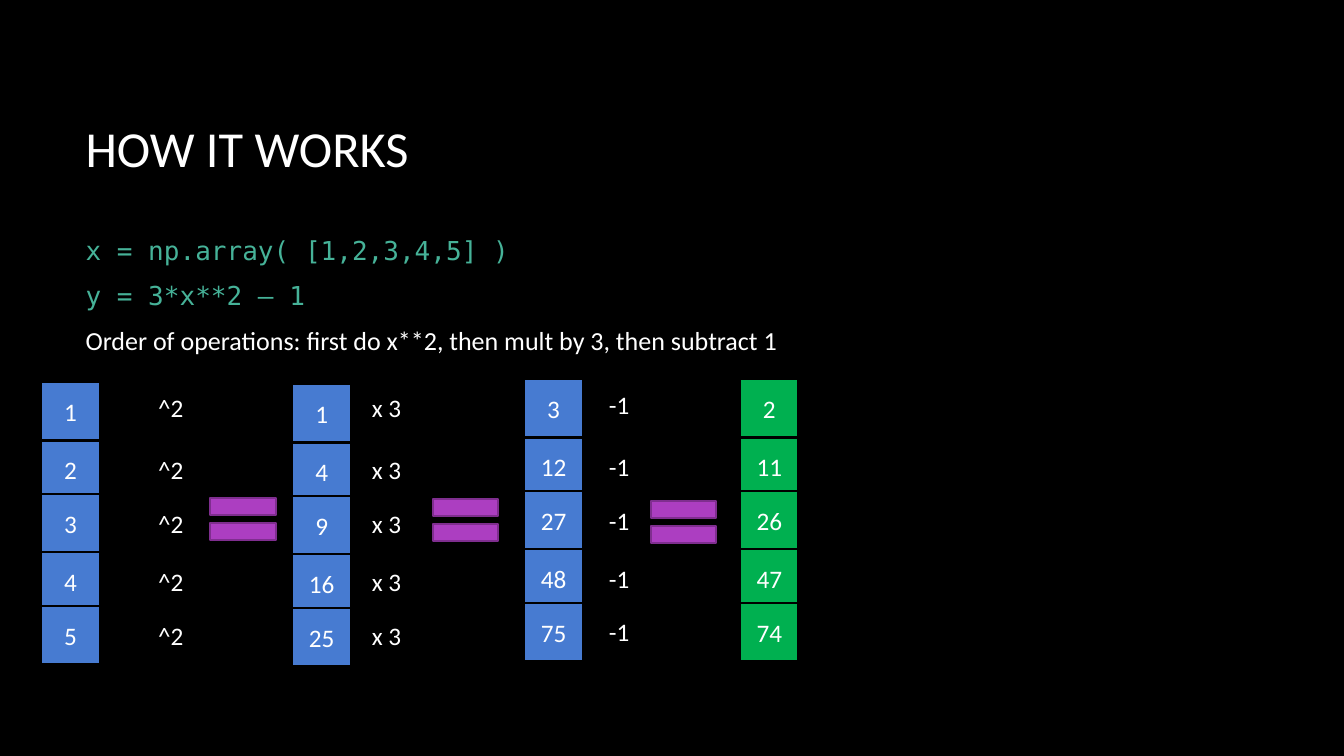
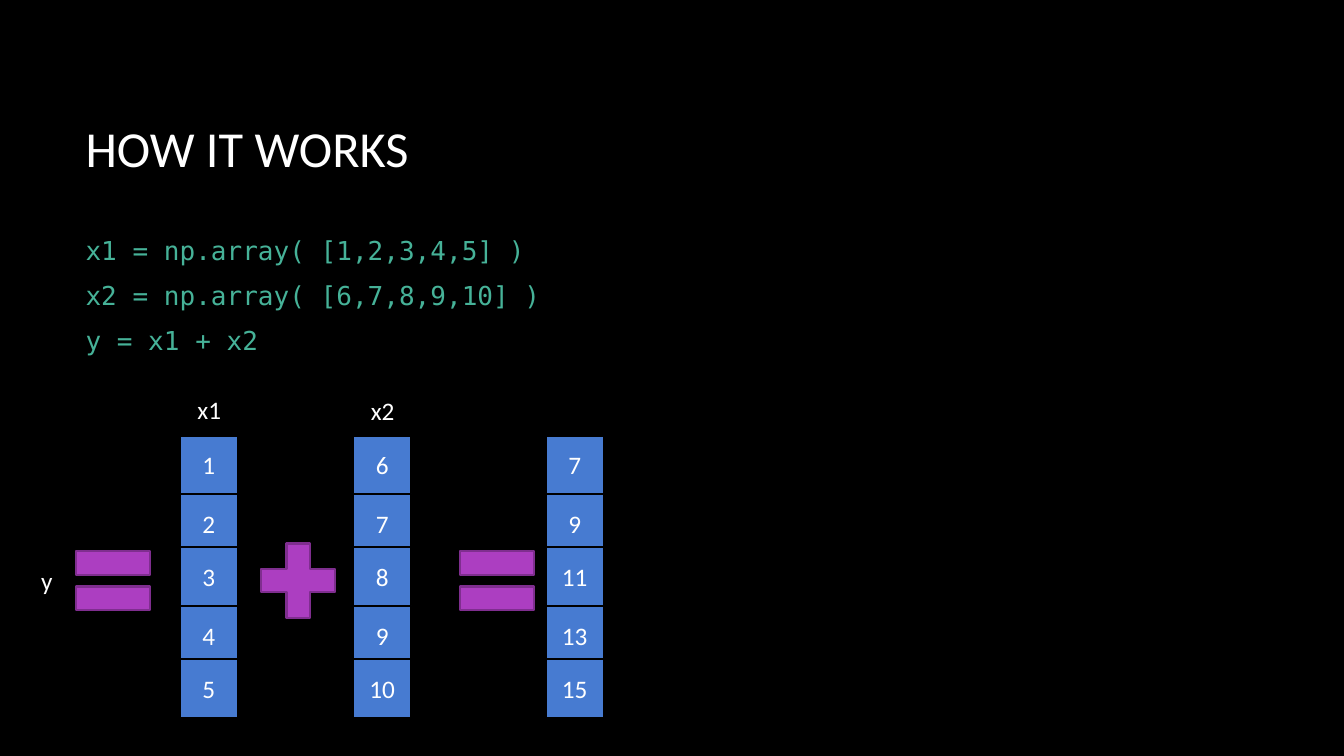
from pptx import Presentation
from pptx import util as u
from pptx.dml.color import RGBColor
from pptx.enum import shapes, text

BLACK = RGBColor(0x00, 0x00, 0x00)
WHITE = RGBColor(0xFF, 0xFF, 0xFF)
TEAL = RGBColor(0x46, 0xB2, 0x98)
BLUE = RGBColor(0x47, 0x7B, 0xD1)
GREEN = RGBColor(0x00, 0xB0, 0x50)
PURPLE = RGBColor(0xAC, 0x3E, 0xC1)
PLUM = RGBColor(0x7F, 0x2E, 0x8F)

TITLE = {"name": "Calibri", "size": u.Pt(36), "color": WHITE}
CODE = {"name": "DejaVu Sans Mono", "size": u.Pt(18.6), "color": TEAL}
PROSE = {"name": "Calibri", "size": u.Pt(18.6), "color": WHITE}
LABEL = {"name": "Calibri", "size": u.Pt(18), "color": WHITE}

MIDDLE = text.MSO_ANCHOR.MIDDLE
CENTER = text.PP_ALIGN.CENTER
EQUAL = shapes.MSO_SHAPE.MATH_EQUAL
PLUS = shapes.MSO_SHAPE.MATH_PLUS

CELL = 0.58
CELL_STEPS = (0, 0.58, 1.11, 1.69, 2.22)
LABEL_STEPS = (0, 0.62, 1.15, 1.73, 2.26)


def set_all(item, values):
    for key, value in values.items():
        if key == "color":
            item.color.rgb = value
        else:
            setattr(item, key, value)


def write(frame, lines, **layout):
    """Fill a text frame with (words, font) lines; layout applies to each paragraph."""
    for index, (words, font) in enumerate(lines):
        para = frame.paragraphs[0] if index == 0 else frame.add_paragraph()
        set_all(para, layout)
        run = para.add_run()
        run.text = words
        set_all(run.font, font)


def add_text(slide, box, lines, frame=None, **layout):
    shape = slide.shapes.add_textbox(*map(u.Inches, box))
    set_all(shape.text_frame, frame or {"word_wrap": False})
    write(shape.text_frame, lines, **layout)


def add_block(slide, kind, box, fill, edge):
    shape = slide.shapes.add_shape(kind, *map(u.Inches, box))
    shape.shadow.inherit = False
    shape.fill.solid()
    shape.fill.fore_color.rgb = fill
    set_all(shape.line, {"color": edge, "width": u.Pt(1.5)})
    return shape


def add_array(slide, left, top, values, fill=BLUE):
    """Stack one square cell per value."""
    for step, value in zip(CELL_STEPS, values):
        box = (left, top + step, CELL, CELL)
        cell = add_block(slide, shapes.MSO_SHAPE.RECTANGLE, box, fill, BLACK)
        cell.text_frame.vertical_anchor = MIDDLE
        write(cell.text_frame, [(str(value), LABEL)], alignment=CENTER)


def add_label(slide, left, top, width, words):
    add_text(slide, (left, top, width, 0.4), [(words, LABEL)])


def add_sign(slide, kind, left, top, width, height):
    add_block(slide, kind, (left, top, width, height), PURPLE, PLUM)


def add_page(deck, lines):
    """Start a slide with the shared title and its code lines."""
    slide = deck.slides.add_slide(deck.slide_layouts[6])
    slide.background.fill.solid()
    slide.background.fill.fore_color.rgb = BLACK
    frame = {"word_wrap": True, "vertical_anchor": MIDDLE}
    add_text(slide, (0.75, 0.67, 11.08, 1.59), [("HOW IT WORKS", TITLE)], frame)
    add_text(slide, (0.75, 2.34, 11.08, 1.17), lines, frame, space_after=u.Pt(10))
    return slide


def add_order(deck):
    slide = add_page(deck, [
        ("x = np.array( [1,2,3,4,5] )", CODE),
        ("y = 3*x**2 – 1", CODE),
        ("Order of operations: first do x**2, then mult by 3, then subtract 1", PROSE),
    ])
    start = range(1, 6)
    squares = [x ** 2 for x in start]
    triples = [3 * x for x in squares]
    result = [x - 1 for x in triples]
    for left, top, values, fill in (
        (0.41, 3.79, start, BLUE),
        (2.9, 3.81, squares, BLUE),
        (5.2, 3.76, triples, BLUE),
        (7.34, 3.76, result, GREEN),
    ):
        add_array(slide, left, top, values, fill)
    for left, top, width, words in (
        (1.47, 3.84, 0.46, "^2"),
        (3.59, 3.84, 0.5, "x 3"),
        (5.94, 3.81, 0.41, "-1"),
    ):
        for step in LABEL_STEPS:
            add_label(slide, left, top + step, width, words)
    for left, top in ((1.97, 4.8), (4.18, 4.81), (6.34, 4.83)):
        add_sign(slide, EQUAL, left, top, 0.88, 0.7)


def add_sum(deck):
    slide = add_page(deck, [
        ("x1 = np.array( [1,2,3,4,5] )", CODE),
        ("x2 = np.array( [6,7,8,9,10] )", CODE),
        ("y = x1 + x2", CODE),
    ])
    first, second = range(1, 6), range(6, 11)
    total = [a + b for a, b in zip(first, second)]
    for left, values in ((1.78, first), (3.5, second), (5.41, total)):
        add_array(slide, left, 4.32, values)
    for left, top, width, words in (
        (1.86, 3.86, 0.44, "x1"),
        (3.58, 3.87, 0.44, "x2"),
        (0.31, 5.56, 0.32, "y"),
    ):
        add_label(slide, left, top, width, words)
    for kind, left in ((EQUAL, 0.62), (PLUS, 2.46), (EQUAL, 4.43)):
        add_sign(slide, kind, left, 5.26, 1, 1)


def main():
    deck = Presentation()
    set_all(deck, {"slide_width": u.Inches(13.33), "slide_height": u.Inches(7.5)})
    add_order(deck)
    add_sum(deck)
    deck.save("out.pptx")


if __name__ == "__main__":
    main()
